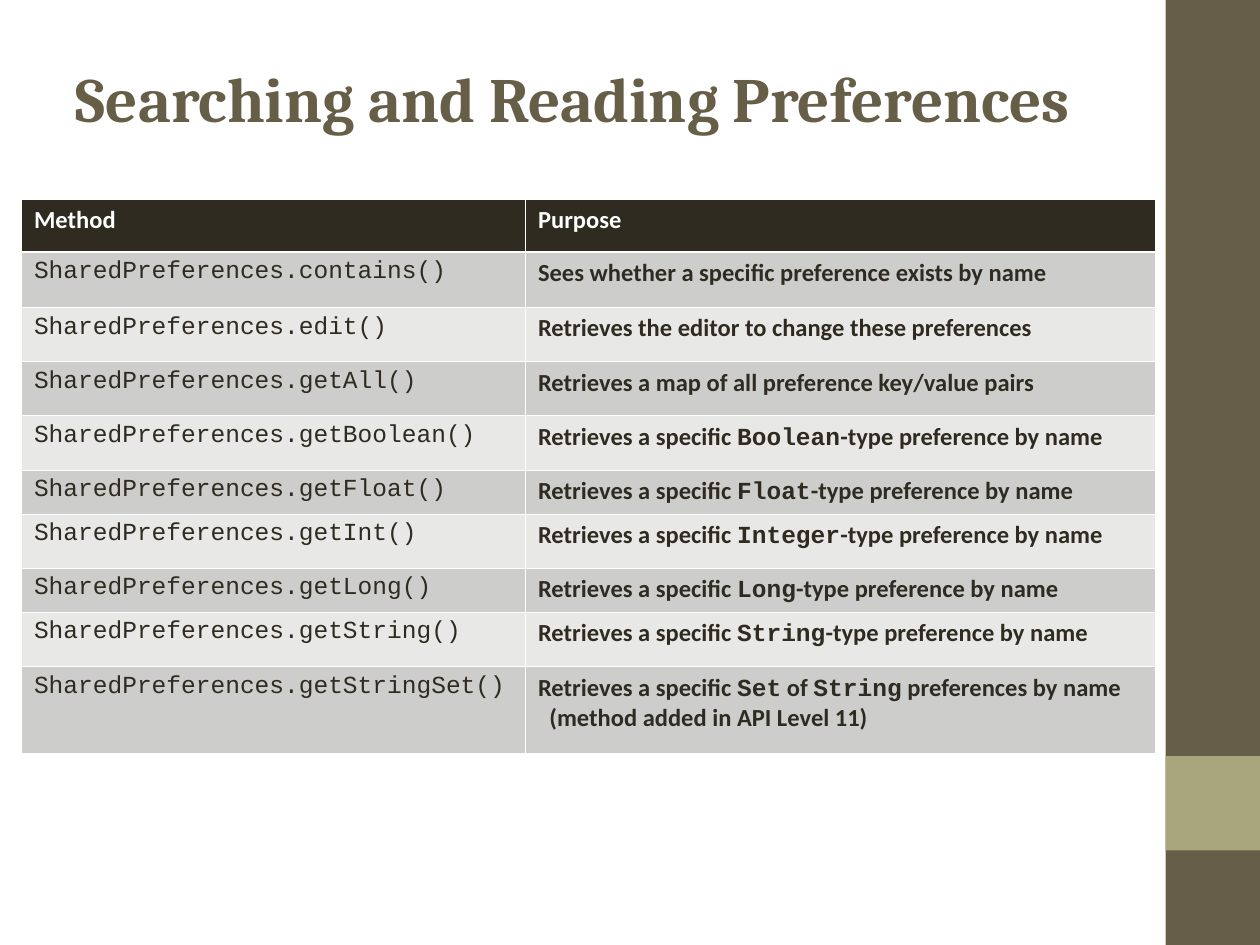
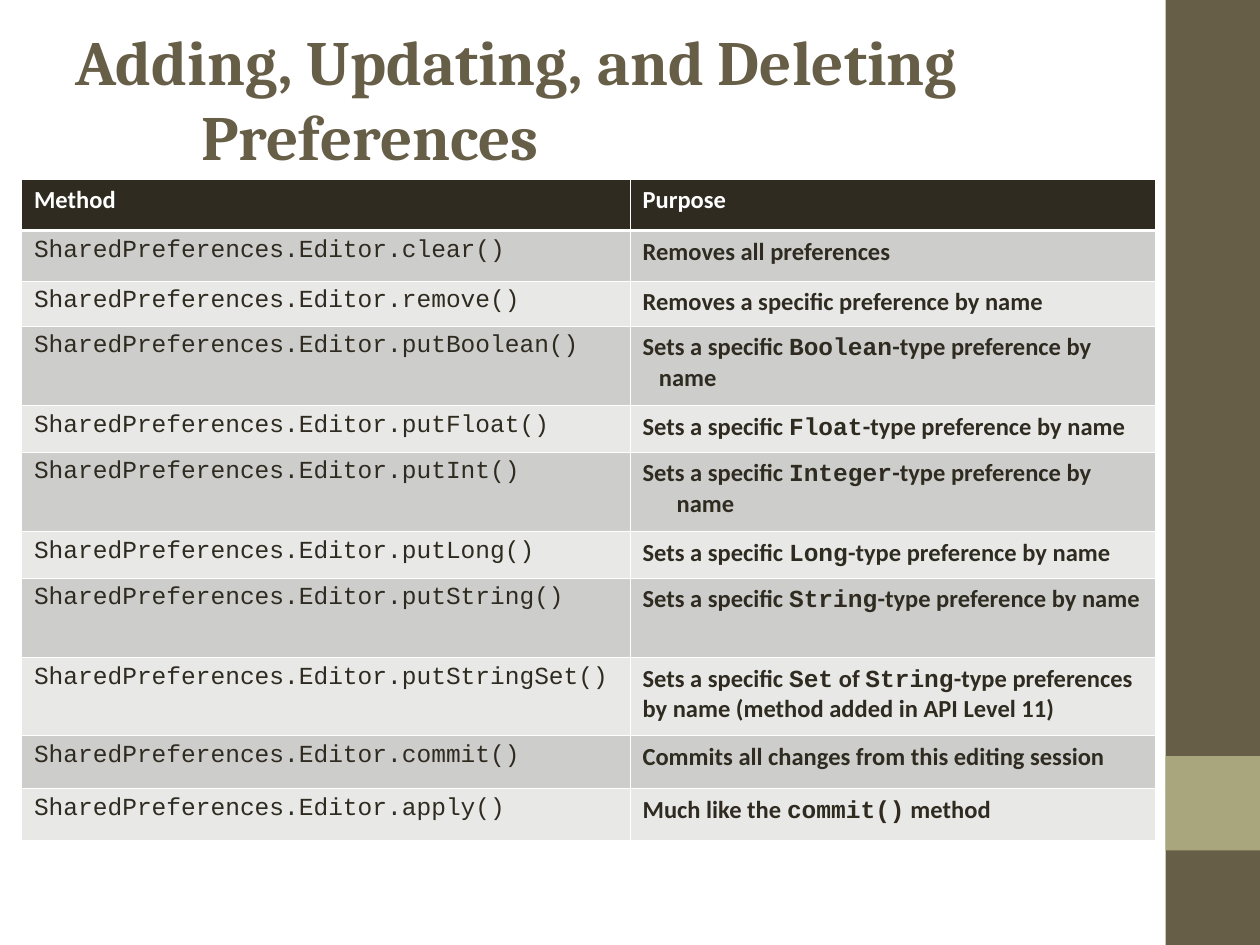
"""Builds two slides of reference tables on shared preferences."""
import lxml.etree
import pptx
import pptx.dml.color
import pptx.enum.shapes
import pptx.enum.text
import pptx.oxml.ns
import pptx.util

Inches = pptx.util.Inches
Pt = pptx.util.Pt
RGBColor = pptx.dml.color.RGBColor

OLIVE = RGBColor(0x67, 0x5E, 0x47)
SAGE = RGBColor(0xA9, 0xA5, 0x7C)
DARK = RGBColor(0x2F, 0x2B, 0x20)
WHITE = RGBColor(0xFF, 0xFF, 0xFF)
ROW_FILLS = (RGBColor(0xCD, 0xCD, 0xCC), RGBColor(0xE8, 0xE8, 0xE7))

TITLE_FONT = "Cambria"
TEXT_FONT = "Calibri"
CODE_FONT = "Courier New"
TITLE_ONLY = 5
THIN, THICK = 0.45, 1.47

READING_ROWS = [
    ("contains", "Sees whether a specific preference exists by name", 0.44, 0),
    ("edit", "Retrieves the editor to change these preferences", 0.43, 0),
    ("getAll", "Retrieves a map of all preference key/value pairs", 0.43, 0),
    ("getBoolean", "Retrieves a specific `Boolean`-type preference by name", 0.43, 0),
    ("getFloat", "Retrieves a specific `Float`-type preference by name", 0.35, 0),
    ("getInt", "Retrieves a specific `Integer`-type preference by name", 0.43, 0),
    ("getLong", "Retrieves a specific `Long`-type preference by name", 0.35, 0),
    ("getString", "Retrieves a specific `String`-type preference by name", 0.43, 0),
    ("getStringSet", "Retrieves a specific `Set` of `String` preferences by name "
     "(method added in API Level 11)", 0.69, 0.09),
]

EDITING_ROWS = [
    ("clear", "Removes all preferences", 0.4, 0),
    ("remove", "Removes a specific preference by name", 0.36, 0),
    ("putBoolean", "Sets a specific `Boolean`-type preference by name", 0.63, 0.13),
    ("putFloat", "Sets a specific `Float`-type preference by name", 0.37, 0),
    ("putInt", "Sets a specific `Integer`-type preference by name", 0.63, 0.27),
    ("putLong", "Sets a specific `Long`-type preference by name", 0.37, 0),
    ("putString", "Sets a specific `String`-type preference by name", 0.63, 0),
    ("putStringSet", "Sets a specific `Set` of `String`-type preferences by name "
     "(method added in API Level 11)", 0.62, 0),
    ("commit", "Commits all changes from this editing session", 0.42, 0),
    ("apply", "Much like the `commit()` method", 0.41, 0),
]


def format_run(run, font, size, color, bold=True):
    """Sets the font, size, colour and weight of a run."""
    run.font.name = font
    run.font.size = Pt(size)
    run.font.color.rgb = color
    run.font.bold = bold


def hang_lines(paragraph, indent):
    """Indents every line of a paragraph but the first."""
    properties = paragraph._p.get_or_add_pPr()
    properties.set("marL", str(Inches(indent)))
    properties.set("indent", str(-Inches(indent)))


def add_master_band(slide, master, top, height, color):
    """Draws a right-hand band and moves it to the slide master."""
    band = slide.shapes.add_shape(
        pptx.enum.shapes.MSO_SHAPE.RECTANGLE,
        Inches(9.25), Inches(top), Inches(0.75), Inches(height))
    band.shadow.inherit = False
    band.fill.solid()
    band.fill.fore_color.rgb = color
    band.line.fill.background()
    band.element.nvSpPr.cNvPr.set("id", str(len(master.shapes) + 20))
    master.shapes.element.insert_element_before(band.element, "p:extLst")


def set_title(slide, text, indent=0):
    """Fills and formats the title placeholder."""
    title = slide.shapes.title
    title.left, title.top = Inches(0.5), Inches(0.3)
    title.width, title.height = Inches(9), Inches(0.95)
    frame = title.text_frame
    frame.text = text
    frame.auto_size = pptx.enum.text.MSO_AUTO_SIZE.NONE
    frame.vertical_anchor = pptx.enum.text.MSO_ANCHOR.MIDDLE
    paragraph = frame.paragraphs[0]
    paragraph.alignment = pptx.enum.text.PP_ALIGN.LEFT
    hang_lines(paragraph, indent)
    format_run(paragraph.runs[0], TITLE_FONT, 36, OLIVE)


def set_borders(cell, top, bottom):
    """Gives a cell white borders with the stated top and bottom widths."""
    properties = cell._tc.get_or_add_tcPr()
    widths = {"lnL": THIN, "lnR": THIN, "lnT": top, "lnB": bottom}
    for position, (side, width) in enumerate(widths.items()):
        border = lxml.etree.Element(pptx.oxml.ns.qn(f"a:{side}"), w=str(Pt(width)))
        fill = lxml.etree.SubElement(border, pptx.oxml.ns.qn("a:solidFill"))
        lxml.etree.SubElement(fill, pptx.oxml.ns.qn("a:srgbClr"), val=str(WHITE))
        properties.insert(position, border)


def fill_cell(cell, text, fill, color, bold=True, indent=0):
    """Writes a cell, setting the parts between backticks as code."""
    cell.fill.solid()
    cell.fill.fore_color.rgb = fill
    paragraph = cell.text_frame.paragraphs[0]
    hang_lines(paragraph, indent)
    for index, part in enumerate(text.split("`")):
        if part:
            run = paragraph.add_run()
            run.text = part
            format_run(run, CODE_FONT if index % 2 else TEXT_FONT, 14, color, bold)


def add_method_table(slide, top, column_widths, header_height, prefix, methods):
    """Adds a table of methods and their purposes."""
    heights = [header_height] + [height for _, _, height, _ in methods]
    table = slide.shapes.add_table(
        len(heights), 2, Inches(0.17), Inches(top),
        Inches(sum(column_widths)), Inches(sum(heights))).table
    table.horz_banding = False
    for column, width in zip(table.columns, column_widths):
        column.width = Inches(width)
    for row, height in zip(table.rows, heights):
        row.height = Inches(height)
    for column, heading in enumerate(("Method", "Purpose")):
        fill_cell(table.cell(0, column), heading, DARK, WHITE)
    for number, (method, purpose, _, indent) in enumerate(methods, 1):
        fill = ROW_FILLS[(number - 1) % 2]
        fill_cell(table.cell(number, 0), f"`{prefix}.{method}()`", fill, DARK, bold=False)
        fill_cell(table.cell(number, 1), purpose, fill, DARK, indent=indent)
    for number, row in enumerate(table.rows):
        for cell in row.cells:
            set_borders(cell, THICK if number == 1 else THIN, THICK if number == 0 else THIN)


def main():
    """Builds and saves the presentation."""
    deck = pptx.Presentation()
    deck.slide_width, deck.slide_height = Inches(10), Inches(7.5)
    layout = deck.slide_layouts[TITLE_ONLY]

    reading = deck.slides.add_slide(layout)
    add_master_band(reading, deck.slide_master, 0, 7.5, OLIVE)
    add_master_band(reading, deck.slide_master, 6, 0.75, SAGE)
    set_title(reading, "Searching and Reading Preferences")
    add_method_table(reading, 1.58, (4, 5), 0.42, "SharedPreferences", READING_ROWS)

    editing = deck.slides.add_slide(layout)
    set_title(editing, "Adding, Updating, and Deleting Preferences", indent=1)
    add_method_table(editing, 1.42, (4.83, 4.17), 0.41,
                     "SharedPreferences.Editor", EDITING_ROWS)

    deck.save("out.pptx")


if __name__ == "__main__":
    main()
